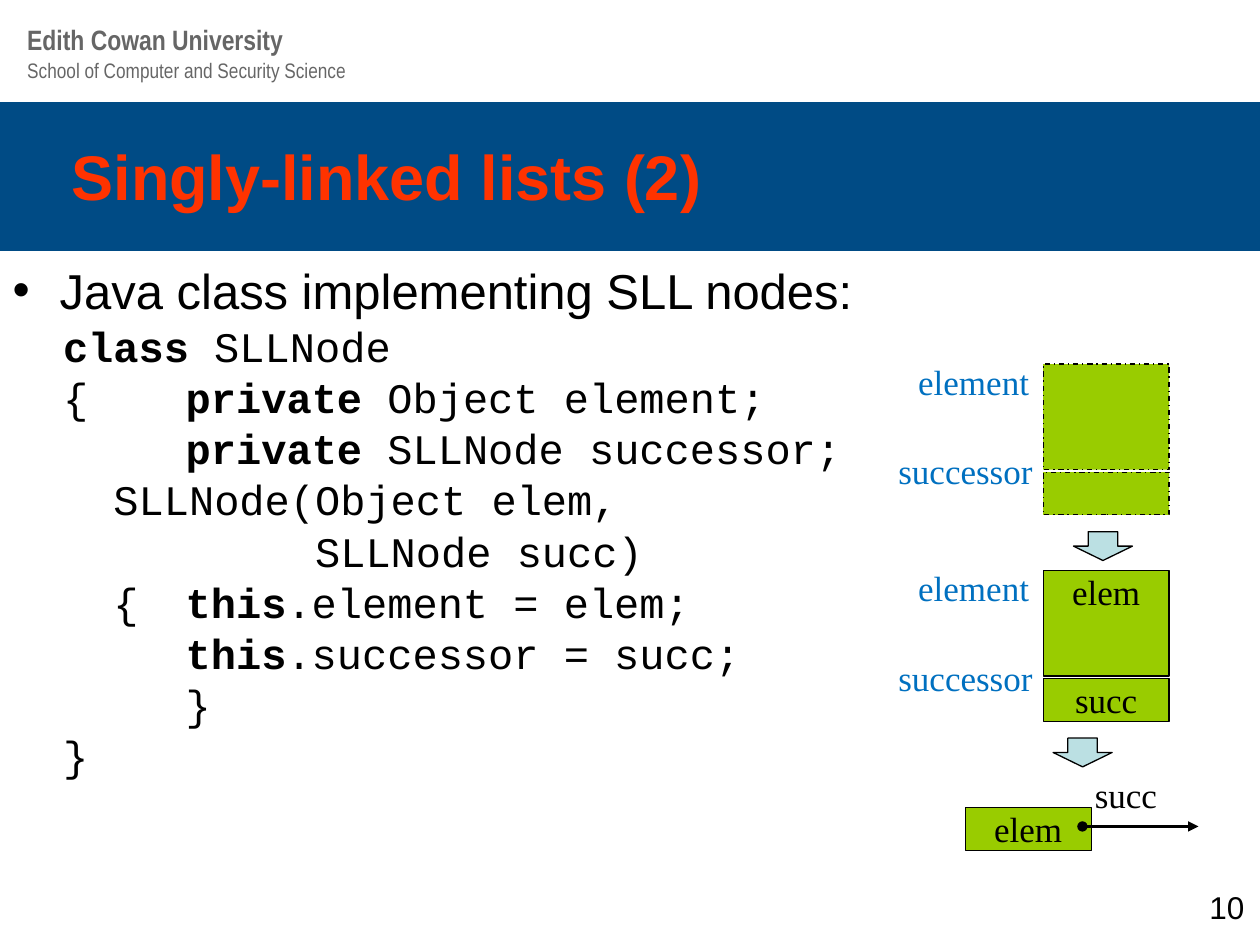
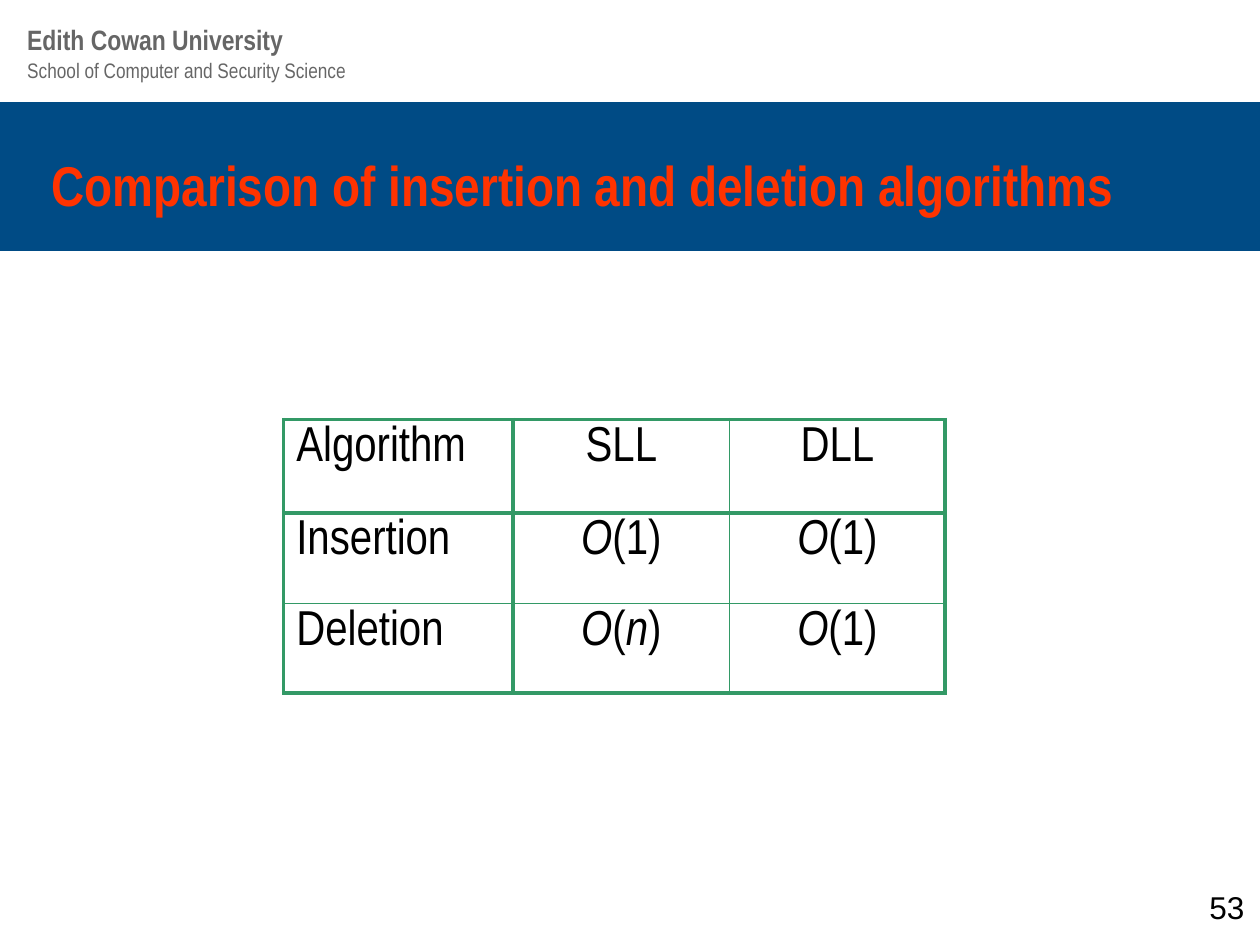
import dataclasses

import lxml.etree
import pptx
import pptx.dml.color
import pptx.enum.dml
import pptx.enum.shapes
import pptx.enum.text
import pptx.oxml.ns
import pptx.util

# Colours
BAND_BLUE = pptx.dml.color.RGBColor(0x00, 0x4B, 0x85)
HEADER_GREY = pptx.dml.color.RGBColor(0x66, 0x66, 0x66)
TITLE_RED = pptx.dml.color.RGBColor(0xFF, 0x33, 0x00)
NODE_GREEN = pptx.dml.color.RGBColor(0x99, 0xCC, 0x00)
LABEL_BLUE = pptx.dml.color.RGBColor(0x00, 0x70, 0xC0)
ARROW_BLUE = pptx.dml.color.RGBColor(0xBB, 0xE0, 0xE3)
BORDER_GREEN = pptx.dml.color.RGBColor(0x33, 0x99, 0x66)
BLACK = pptx.dml.color.RGBColor(0, 0, 0)

RECT = pptx.enum.shapes.MSO_SHAPE.RECTANGLE
DOWN_ARROW = pptx.enum.shapes.MSO_SHAPE.DOWN_ARROW
DASH_DOT = pptx.enum.dml.MSO_LINE.DASH_DOT
LEFT = pptx.enum.text.PP_ALIGN.LEFT
CENTER = pptx.enum.text.PP_ALIGN.CENTER


@dataclasses.dataclass(frozen=True)
class Box:
    """Position and size in centimetres."""
    left: float
    top: float
    width: float
    height: float

    def lengths(self) -> list:
        return [pptx.util.Cm(v) for v in dataclasses.astuple(self)]


@dataclasses.dataclass(frozen=True)
class Style:
    font: str
    size: float
    color: pptx.dml.color.RGBColor = BLACK
    bold: bool = False


UNIVERSITY = Style("Arial Narrow", 16, HEADER_GREY, True)
SCHOOL = Style("Arial Narrow", 12, HEADER_GREY)
NUMBER = Style("Arial", 18)
BULLET = Style("Arial", 28)
CODE = Style("Courier New", 24)
NODE_TEXT = Style("Times New Roman", 20)
LABEL = Style("Times New Roman", 20, LABEL_BLUE)
CELL = Style("Arial Narrow", 28)

# Asterisks enclose the bold keywords
CODE_LINES = [
    "*  class *SLLNode",
    "  { *\tprivate* Object element;",
    "    \t*private *SLLNode successor;",
    "    SLLNode(Object elem,",
    "            SLLNode succ)",
    "    { \t*this*.element = elem;",
    "      \t*this*.successor = succ;",
    "    \t}",
    "  }",
]
CODE_TABS = [0.83, 1.25, 1.67, 2.08, 2.5]  # inches

# Asterisks enclose the italic letters
TABLE_ROWS = [
    ["Algorithm", "SLL", "DLL"],
    ["Insertion", "*O*(1)", "*O*(1)"],
    ["Deletion", "*O*(*n*)", "*O*(1)"],
]
COLUMN_WIDTHS = [4.62, 4.37, 4.34]
ROW_HEIGHTS = [1.88, 1.83, 1.8]
THIN_EDGE = 2  # the grid line drawn thin; the others are thick


# Text helpers
def format_run(r, style: Style) -> None:
    r.font.name = style.font
    r.font.size = pptx.util.Pt(style.size)
    r.font.color.rgb = style.color
    r.font.bold = style.bold


def add_marked(p, text: str, style: Style, emphasis: str) -> None:
    """Add runs, giving the parts between asterisks the emphasis."""
    for i, part in enumerate(text.split("*")):
        if part:
            r = p.add_run()
            r.text = part
            format_run(r, style)
            setattr(r.font, emphasis, i % 2 == 1)


def set_text(sp, text: str, style: Style, align=LEFT) -> None:
    tf = sp.text_frame
    tf.word_wrap = True
    tf.text = text
    p = tf.paragraphs[0]
    p.alignment = align
    format_run(p.runs[0], style)


def add_text(s, box: Box, text: str, style: Style) -> None:
    sp = s.shapes.add_textbox(*box.lengths())
    sp.text_frame.margin_right = 0
    set_text(sp, text, style)


def sub(parent, tag: str, **attrs: str):
    return lxml.etree.SubElement(parent, pptx.oxml.ns.qn(tag), attrs)


# Shape helpers
def add_shape(s, kind, box: Box, fill, text: str = "", dash=None, outlined: bool = True):
    sp = s.shapes.add_shape(kind, *box.lengths())
    sp.shadow.inherit = False
    sp.fill.solid()
    sp.fill.fore_color.rgb = fill
    if outlined:
        sp.line.color.rgb = BLACK
        sp.line.width = pptx.util.Pt(0.75)
        if dash:
            sp.line.dash_style = dash
    else:
        sp.line.fill.background()
    if text:
        tf = sp.text_frame
        tf.margin_left = tf.margin_top = tf.margin_right = tf.margin_bottom = 0
        tf.vertical_anchor = pptx.enum.text.MSO_ANCHOR.TOP
        set_text(sp, text, NODE_TEXT, CENTER)
    return sp


def add_pointer(s, x1: float, x2: float, y: float) -> None:
    ends = [pptx.util.Cm(v) for v in (x1, y, x2, y)]
    line = s.shapes.add_connector(pptx.enum.shapes.MSO_CONNECTOR.STRAIGHT, *ends)
    line.line.color.rgb = BLACK
    line.line.width = pptx.util.Pt(1.5)
    ln = line.line.fill._xPr
    sub(ln, "a:headEnd", type="oval")
    sub(ln, "a:tailEnd", type="triangle")
    sub(line.element.spPr, "a:effectLst")


# Parts shared by the slides
def add_slide(prs, layout: int, title: str, box: Box, style: Style, number: int):
    s = prs.slides.add_slide(prs.slide_layouts[layout])
    band = add_shape(s, RECT, Box(0, 2.06, 25.4, 3), BAND_BLUE, outlined=False)
    s.shapes.element.insert(2, band.element)  # behind the title
    add_text(s, Box(0.3, 1.04, 14.96, 0.76), "School of Computer and Security Science", SCHOOL)
    add_text(s, Box(0.3, 0.33, 14.96, 0.94), "Edith Cowan University", UNIVERSITY)

    sp = s.shapes.title
    sp.left, sp.top, sp.width, sp.height = box.lengths()
    sp.text_frame.auto_size = pptx.enum.text.MSO_AUTO_SIZE.NONE
    sp.text_frame.vertical_anchor = pptx.enum.text.MSO_ANCHOR.MIDDLE
    set_text(sp, title, style)
    add_text(s, Box(24.13, 17.78, 1.27, 0.84), str(number), NUMBER)
    return s


# Slide with the node class
def format_code_paragraph(p, bullet: str = "") -> None:
    pPr = p._p.get_or_add_pPr()
    indent = pptx.util.Cm(0.95)
    for name, value in (("marL", indent), ("indent", -indent),
                        ("defTabSz", pptx.util.Cm(2.54))):
        pPr.set(name, str(int(value)))
    if bullet:
        sub(pPr, "a:buChar", char=bullet)
    else:
        sub(pPr, "a:buNone")
    tabs = sub(pPr, "a:tabLst")
    for pos in CODE_TABS:
        sub(tabs, "a:tab", pos=str(int(pptx.util.Cm(pos * 2.54))), algn="l")
    p.line_spacing = 0.8
    p.space_before = pptx.util.Pt(0 if bullet else 6.2)


def add_code(s) -> None:
    sp = s.placeholders[1]
    sp.left, sp.top, sp.width, sp.height = Box(0, 5.36, 18.06, 10.59).lengths()
    tf = sp.text_frame
    tf.auto_size = pptx.enum.text.MSO_AUTO_SIZE.NONE
    tf.text = "Java class implementing SLL nodes:"
    format_code_paragraph(tf.paragraphs[0], "•")
    format_run(tf.paragraphs[0].runs[0], BULLET)
    for line in CODE_LINES:
        p = tf.add_paragraph()
        format_code_paragraph(p)
        add_marked(p, line, CODE, "bold")


def add_node(s, top: float, elem: str = "", succ: str = "", dash=None) -> None:
    add_shape(s, RECT, Box(21.03, top + 2.18, 2.54, 0.86), NODE_GREEN, succ, dash)
    add_shape(s, RECT, Box(21.03, top, 2.54, 2.13), NODE_GREEN, elem, dash)
    add_text(s, Box(17.86, top + 1.6, 3.38, 0.99), "successor", LABEL)
    add_text(s, Box(18.26, top - 0.2, 2.77, 0.99), "element", LABEL)


def build_node_slide(prs) -> None:
    s = add_slide(prs, 1, "Singly-linked lists (2)", Box(1.19, 2.59, 21.59, 1.9),
                  Style("Arial", 36, TITLE_RED, True), 10)
    add_code(s)
    add_node(s, 7.34, dash=DASH_DOT)
    add_node(s, 11.5, "elem", "succ")
    for left, top in ((21.64, 10.72), (21.23, 14.88)):
        add_shape(s, DOWN_ARROW, Box(left, top, 1.19, 0.58), ARROW_BLUE)

    # Compact node with its link
    add_shape(s, RECT, Box(19.46, 16.28, 2.54, 0.86), NODE_GREEN, "elem")
    add_pointer(s, 21.82, 24.16, 16.66)
    add_text(s, Box(21.82, 15.47, 1.78, 0.99), "succ", NODE_TEXT)


# Slide with the comparison table
def set_borders(cell, row: int, col: int) -> None:
    tcPr = cell._tc.get_or_add_tcPr()
    edges = (("a:lnL", col), ("a:lnR", col + 1), ("a:lnT", row), ("a:lnB", row + 1))
    for tag, edge in edges:
        width = pptx.util.Pt(1 if edge == THIN_EDGE else 2.25)
        ln = sub(tcPr, tag, w=str(int(width)))
        sub(sub(ln, "a:solidFill"), "a:srgbClr", val=str(BORDER_GREEN))


def build_comparison_slide(prs) -> None:
    s = add_slide(prs, 5, "Comparison of insertion and deletion algorithms",
                  Box(0.79, 2.77, 23.29, 1.9),
                  Style("Arial Narrow", 32, TITLE_RED, True), 53)
    box = Box(5.72, 8.46, sum(COLUMN_WIDTHS), sum(ROW_HEIGHTS))
    table = s.shapes.add_table(len(TABLE_ROWS), len(COLUMN_WIDTHS), *box.lengths()).table
    table.first_row = table.horz_banding = False
    for column, width in zip(table.columns, COLUMN_WIDTHS):
        column.width = pptx.util.Cm(width)
    for row, height in zip(table.rows, ROW_HEIGHTS):
        row.height = pptx.util.Cm(height)
    for i, texts in enumerate(TABLE_ROWS):
        for j, text in enumerate(texts):
            cell = table.cell(i, j)
            set_borders(cell, i, j)
            cell.fill.background()
            p = cell.text_frame.paragraphs[0]
            p.alignment = CENTER if j else LEFT
            add_marked(p, text, CELL, "italic")


def main() -> None:
    prs = pptx.Presentation()
    prs.slide_width = pptx.util.Cm(25.4)
    prs.slide_height = pptx.util.Cm(19.05)
    build_node_slide(prs)
    build_comparison_slide(prs)
    prs.save("out.pptx")


if __name__ == "__main__":
    main()
